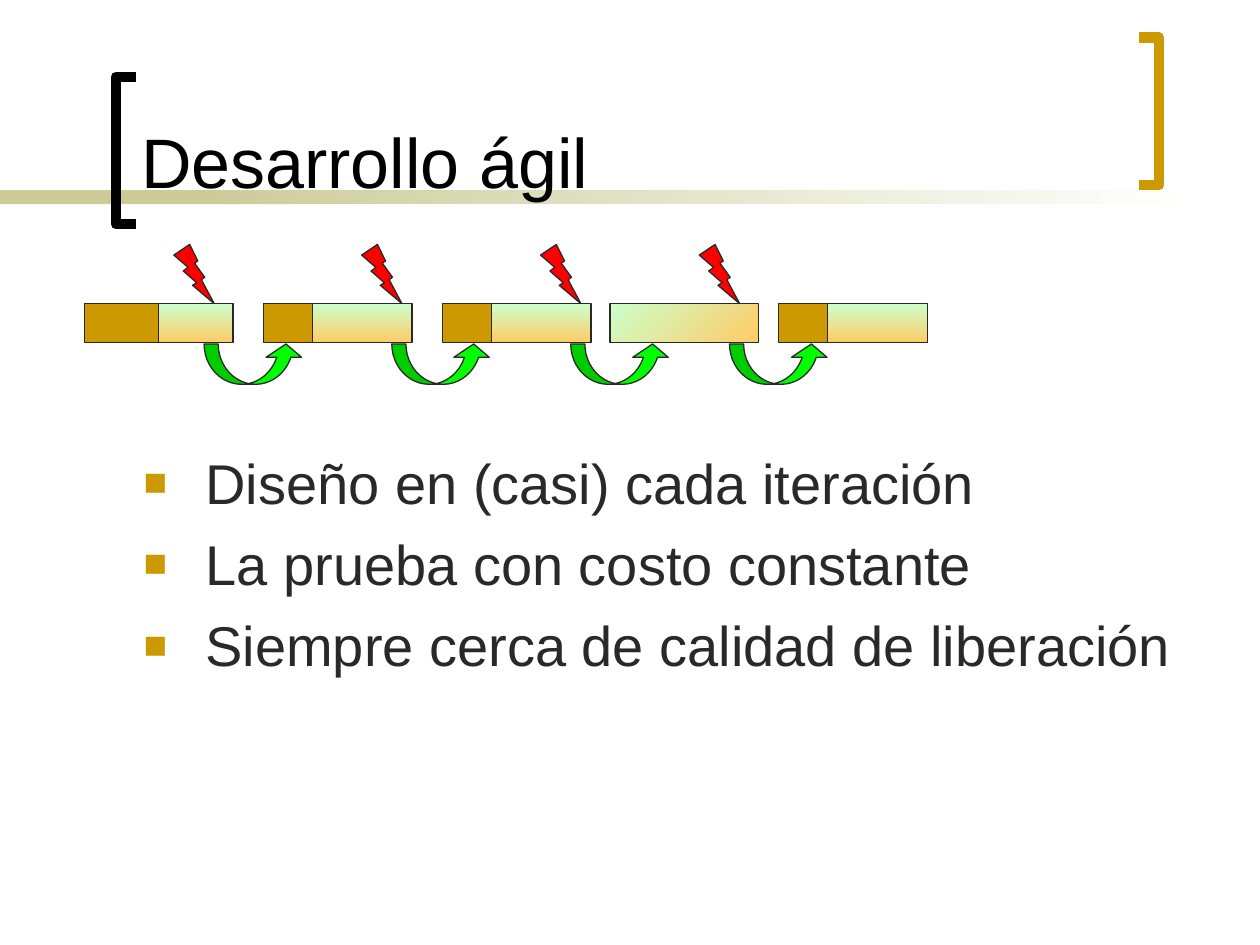
from dataclasses import dataclass

from lxml import etree
from pptx import Presentation
from pptx import util as u
from pptx.dml.color import RGBColor
from pptx.enum import shapes, text
from pptx.oxml.ns import qn


@dataclass(frozen=True)
class Theme:
    font: str = "Arial"
    title_size: int = 40
    body_size: int = 32
    black: str = "000000"
    white: str = "FFFFFF"
    ink: str = "292929"
    gold: str = "CC9900"
    sand: str = "CCCC99"
    mint: str = "CCFFCC"
    peach: str = "FFCC66"
    red: str = "FF0000"
    green: str = "00FF00"


def write(p, content, font, size, color, align=text.PP_ALIGN.LEFT, before=0):
    p.alignment = align
    p.space_before = u.Pt(before)
    r = p.add_run()
    r.text = content
    r.font.name = font
    r.font.size = u.Pt(size)
    r.font.color.rgb = RGBColor.from_string(color)


def add_bullet(p, char, color, percent, indent):
    pPr = p._p.get_or_add_pPr()
    pPr.set("marL", str(u.Inches(indent)))
    pPr.set("indent", str(-u.Inches(indent)))
    bu_color = etree.SubElement(pPr, qn("a:buClr"))
    etree.SubElement(bu_color, qn("a:srgbClr"), val=color)
    etree.SubElement(pPr, qn("a:buSzPct"), val=str(percent * 1000))
    etree.SubElement(pPr, qn("a:buFont"), typeface="Arial")
    etree.SubElement(pPr, qn("a:buChar"), char=char)


class SlideBuilder:
    def __init__(self, s, theme):
        self.s = s
        self.theme = theme

    def outline(self, sp, color, width):
        sp.shadow.inherit = False
        if color is None:
            sp.line.fill.background()
        else:
            sp.line.color.rgb = RGBColor.from_string(color)
            sp.line.width = u.Pt(width)

    def shape(self, kind, box, fill, line=None, angle=0):
        sp = self.s.shapes.add_shape(kind, *map(u.Inches, box))
        self.outline(sp, line, 0.75)
        if isinstance(fill, tuple):
            sp.fill.gradient()
            sp.fill.gradient_angle = angle
            for stop, color in zip(sp.fill.gradient_stops, fill):
                stop.color.rgb = RGBColor.from_string(color)
        else:
            sp.fill.solid()
            sp.fill.fore_color.rgb = RGBColor.from_string(fill)
        return sp

    def bracket(self, spine, tip, top, height, color):
        points = [(tip, top), (spine, top), (spine, top + height), (tip, top + height)]
        points = [(u.Inches(x), u.Inches(y)) for x, y in points]
        builder = self.s.shapes.build_freeform(*points[0])
        builder.add_line_segments(points[1:], close=False)
        sp = builder.convert_to_shape()
        sp.fill.background()
        self.outline(sp, color, 6)

    def placeholder(self, sp, box, anchor):
        sp.left, sp.top, sp.width, sp.height = map(u.Inches, box)
        tf = sp.text_frame
        tf.word_wrap = True
        tf.auto_size = text.MSO_AUTO_SIZE.NONE
        tf.vertical_anchor = anchor
        self.s.shapes._spTree.append(sp._element)
        return tf

    def title(self, content, box):
        t = self.theme
        tf = self.placeholder(self.s.shapes.title, box, text.MSO_ANCHOR.BOTTOM)
        write(tf.paragraphs[0], content, t.font, t.title_size, t.black)

    def bullets(self, items, box):
        t = self.theme
        tf = self.placeholder(self.s.placeholders[1], box, text.MSO_ANCHOR.TOP)
        for i, item in enumerate(items):
            p = tf.add_paragraph() if i else tf.paragraphs[0]
            write(p, item, t.font, t.body_size, t.ink, before=8)
            add_bullet(p, "■", t.gold, 70, 0.49)

    def iteration(self, left, design):
        t = self.theme
        rect = shapes.MSO_SHAPE.RECTANGLE
        top, width, height = 2.41, 1.18, 0.31
        if design:
            self.shape(rect, (left, top, design, height), t.gold, t.ink)
        angle = 270 if design else 315
        box = (left + design, top, width - design, height)
        self.shape(rect, box, (t.mint, t.peach), t.ink, angle)

    def handover(self, left):
        t = self.theme
        bolt = shapes.MSO_SHAPE.LIGHTNING_BOLT
        self.shape(bolt, (left, 1.94, 0.32, 0.47), t.red, t.ink)
        curve = shapes.MSO_SHAPE.CURVED_UP_ARROW
        sp = self.shape(curve, (left + 0.24, 2.73, 0.79, 0.32), t.green, t.ink)
        for i, value in enumerate((0.35, 0.88, 0.33)):
            sp.adjustments[i] = value


def main():
    prs = Presentation()
    prs.slide_width, prs.slide_height = u.Inches(10), u.Inches(7.5)
    t = Theme()
    slide = SlideBuilder(prs.slides.add_slide(prs.slide_layouts[1]), t)

    rect = shapes.MSO_SHAPE.RECTANGLE
    slide.shape(rect, (0, 1.51, 2.33, 0.11), t.sand)
    slide.shape(rect, (1.58, 1.51, 7.92, 0.11), (t.sand, t.white))
    slide.bracket(0.92, 1.08, 0.61, 1.17, t.black)
    slide.bracket(9.2, 9.04, 0.3, 1.17, t.gold)
    slide.title("Desarrollo ágil", (1.02, 0.11, 7.83, 1.55))

    for left, design in ((0.67, 0.59), (2.09, 0.39), (3.51, 0.39), (4.84, 0), (6.18, 0.39)):
        slide.iteration(left, design)
    for left in (1.38, 2.87, 4.29, 5.55):
        slide.handover(left)

    slide.bullets(
        (
            "Diseño en (casi) cada iteración",
            "La prueba con costo constante",
            "Siempre cerca de calidad de liberación",
        ),
        (1.04, 3.51, 8.38, 3.15),
    )
    prs.save("out.pptx")


if __name__ == "__main__":
    main()
